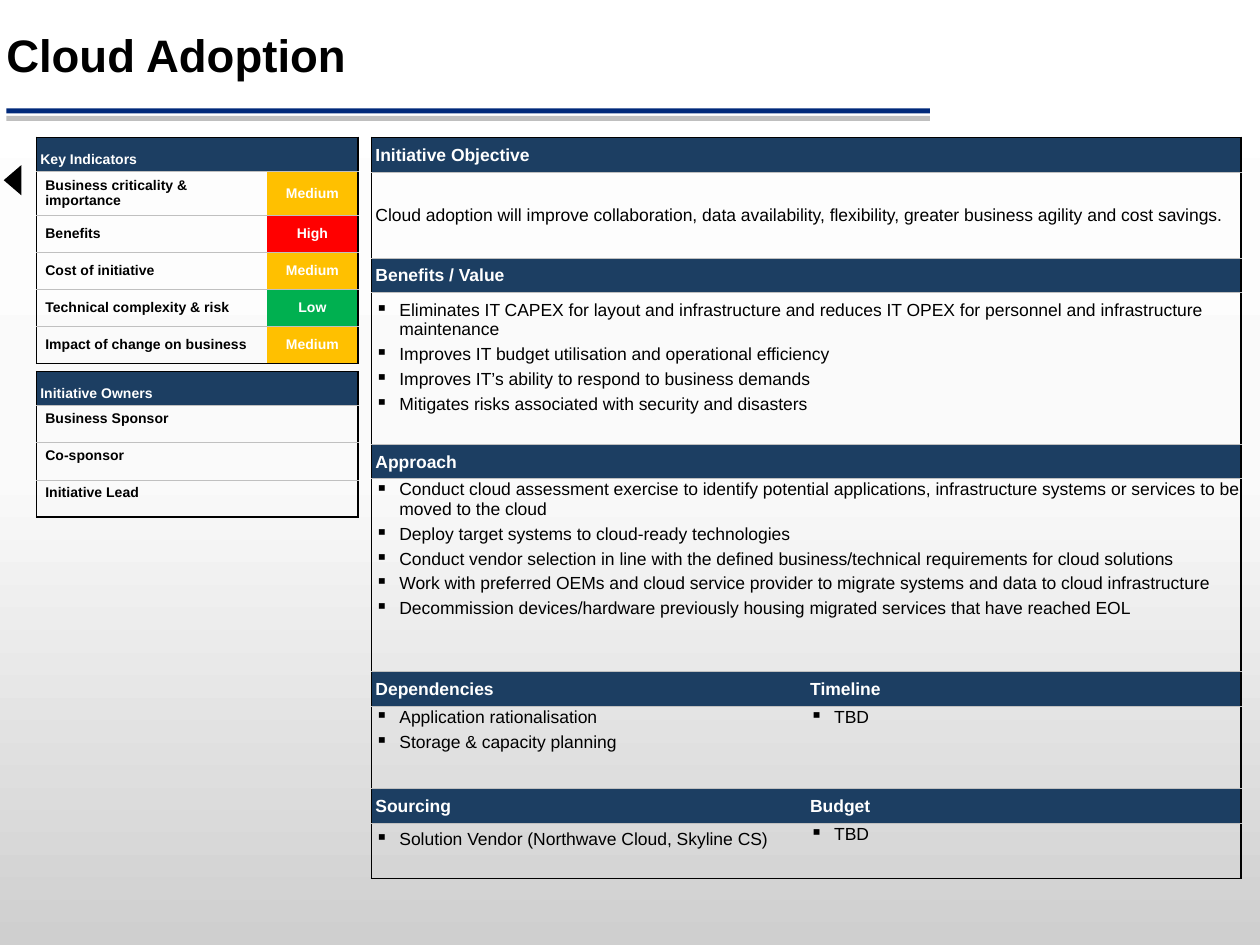
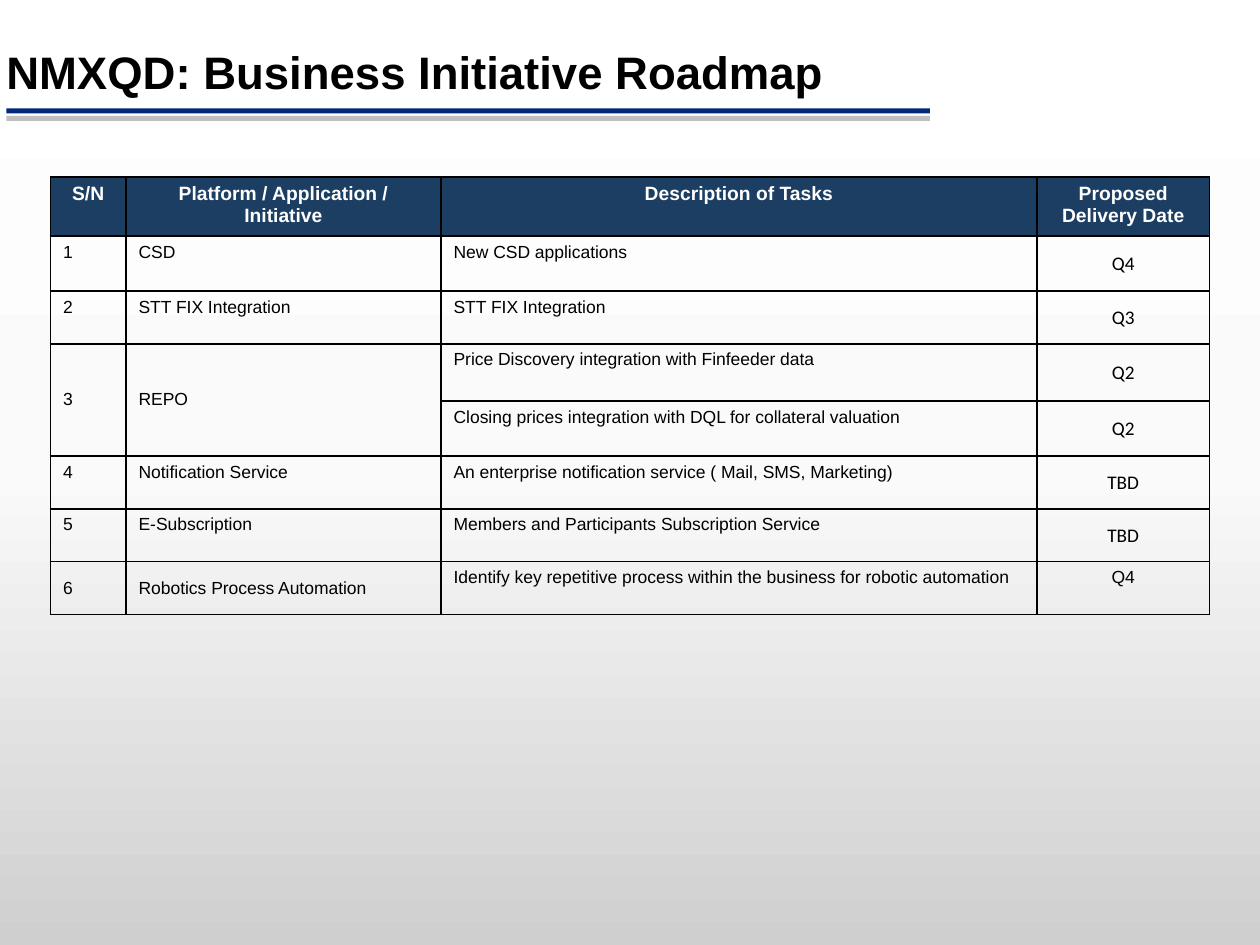
from dataclasses import dataclass, replace
from typing import Optional, Sequence

from lxml.etree import SubElement
from pptx import Presentation
from pptx.dml.color import RGBColor
from pptx.enum.shapes import MSO_SHAPE
from pptx.enum.text import MSO_ANCHOR, MSO_AUTO_SIZE, PP_ALIGN
from pptx.oxml.ns import qn
from pptx.util import Inches, Pt

# Shared look: the slide is a grid of 100 columns by 75 rows
COLUMNS, ROWS = 100, 75
NAVY, BLACK, WHITE, SILVER = "1C3E62", "000000", "FFFFFF", "C0C0C0"
RULES = ((9.2, "BFBFBF"), (8.6, "00297A"))
BACKGROUND = ((0, "CFCFCF"), (50, "FAFAFA"), (100, "FFFFFF"))
RATING_FILLS = {"High": "FF0000", "Medium": "FFC000", "Low": "00B050"}


def grid(n: float) -> int:
    """Length of n grid columns or rows."""
    return Inches(n / 10)


def rgb(value: str) -> RGBColor:
    return RGBColor.from_string(value)


@dataclass(frozen=True)
class Style:
    size: float
    color: str = BLACK
    bold: bool = False
    font: str = "Arial"
    align: Optional[PP_ALIGN] = None
    anchor: MSO_ANCHOR = MSO_ANCHOR.TOP
    margins: tuple = (1, 0.5, 1, 0.5)  # left, top, right, bottom
    fill: Optional[str] = None
    bullet: bool = False


@dataclass(frozen=True)
class Line:
    color: str
    width: float


@dataclass(frozen=True)
class Cell:
    style: Style
    lines: tuple = ()


@dataclass(frozen=True)
class Grid:
    left: float
    top: float
    widths: Sequence[float]
    heights: Sequence[float]
    outer: Line
    across: Line
    down: Optional[Line] = None


MIDDLE = MSO_ANCHOR.MIDDLE
TITLE = Style(26, bold=True, anchor=MIDDLE, margins=(0.5,) * 4)

SIDE_HEAD = Style(8, WHITE, True, anchor=MSO_ANCHOR.BOTTOM, margins=(0.3,) * 4, fill=NAVY)
OWNER = Style(8, bold=True, margins=(0.7, 0.4, 0.7, 0.4))
INDICATOR = replace(OWNER, anchor=MIDDLE)
RATING = replace(INDICATOR, color=WHITE, align=PP_ALIGN.CENTER)

BODY = Style(10, anchor=MIDDLE, margins=(0.3, 0.1, 0, 0))
SECTION = replace(BODY, color=WHITE, bold=True, fill=NAVY)
BULLETS = replace(BODY, anchor=MSO_ANCHOR.TOP, bullet=True)
RAISED_BULLETS = replace(BULLETS, anchor=MIDDLE, margins=(0.3, 0.1, 0, 1.9))

ROAD_HEAD = Style(11, WHITE, True, align=PP_ALIGN.CENTER, fill=NAVY)
TASK = Style(10, align=PP_ALIGN.JUSTIFY)
TASK_MIDDLE = replace(TASK, anchor=MIDDLE)
DATE = Style(11, font="Calibri", align=PP_ALIGN.CENTER, anchor=MIDDLE, margins=(0.1, 0.1, 0.1, 0))
LAST_DATE = replace(TASK, align=PP_ALIGN.CENTER)


# Text
def write(tf, lines: Sequence[str], style: Style) -> None:
    for i, text in enumerate(lines):
        p = tf.paragraphs[0] if i == 0 else tf.add_paragraph()
        p.alignment = style.align
        if style.bullet:
            pPr = p._p.get_or_add_pPr()
            pPr.set("marL", str(grid(1.9)))
            pPr.set("indent", str(-grid(1.9)))
            SubElement(pPr, qn("a:buChar"), char="▪")
            p.space_after = Pt(3)
        r = p.add_run()
        r.text = text
        r.font.name, r.font.size, r.font.bold = style.font, Pt(style.size), style.bold
        r.font.color.rgb = rgb(style.color)
    if not lines:
        SubElement(tf.paragraphs[0]._p, qn("a:endParaRPr"), sz=str(int(style.size * 100)))


# Tables
def set_border(cell, side: str, line: Optional[Line]) -> None:
    ln = SubElement(cell._tc.get_or_add_tcPr(), qn(f"a:ln{side}"))
    if line is None:
        SubElement(ln, qn("a:noFill"))
        return
    ln.set("w", str(Pt(line.width)))
    SubElement(SubElement(ln, qn("a:solidFill")), qn("a:srgbClr"), val=line.color)


def format_cell(cell, spec_cell: Cell) -> None:
    style = spec_cell.style
    if style.fill:
        cell.fill.solid()
        cell.fill.fore_color.rgb = rgb(style.fill)
    else:
        cell.fill.background()
    cell.vertical_anchor = style.anchor
    (cell.margin_left, cell.margin_top,
     cell.margin_right, cell.margin_bottom) = map(grid, style.margins)
    write(cell.text_frame, spec_cell.lines, style)


def add_grid(s, g: Grid, rows: Sequence[Sequence[Cell]], tall: Sequence[tuple] = ()) -> None:
    """Rows with one cell span the table; tall lists (row, column) cells two rows high."""
    n_rows, n_cols = len(g.heights), len(g.widths)
    table = s.shapes.add_table(n_rows, n_cols, grid(g.left), grid(g.top),
                               grid(sum(g.widths)), grid(sum(g.heights))).table
    table.first_row = table.horz_banding = False
    for column, width in zip(table.columns, g.widths):
        column.width = grid(width)
    for row, height in zip(table.rows, g.heights):
        row.height = grid(height)
    for i, cells in enumerate(rows):
        if len(cells) == 1:
            table.cell(i, 0).merge(table.cell(i, n_cols - 1))
    for i, j in tall:
        table.cell(i, j).merge(table.cell(i + 1, j))
    for i, cells in enumerate(rows):
        for j in range(n_cols):
            cell = table.cell(i, j)
            last_col, last_row = j + cell.span_width, i + cell.span_height
            set_border(cell, "L", g.outer if j == 0 else g.down)
            set_border(cell, "R", g.outer if last_col == n_cols else g.down)
            set_border(cell, "T", g.outer if i == 0 else g.across)
            set_border(cell, "B", g.outer if last_row == n_rows else g.across)
            format_cell(cell, cells[j] if j < len(cells) else Cell(cells[0].style))


# Slide frame
def add_block(s, kind: MSO_SHAPE, box: Sequence[float], color: str):
    sp = s.shapes.add_shape(kind, *map(grid, box))
    sp.shadow.inherit = False
    sp.fill.solid()
    sp.fill.fore_color.rgb = rgb(color)
    sp.line.fill.background()
    return sp


def set_background(master) -> None:
    fill = master.background.fill
    fill.gradient()
    fill.gradient_angle = 90
    stops = master.element.find(".//" + qn("a:gsLst"))
    for stop in list(stops):
        stops.remove(stop)
    for pos, color in BACKGROUND:
        stop = SubElement(stops, qn("a:gs"), pos=str(pos * 1000))
        SubElement(stop, qn("a:srgbClr"), val=color)


def add_titled_slide(prs, title: str, top: float):
    s = prs.slides.add_slide(prs.slide_layouts[6])
    for rule_top, color in RULES:
        add_block(s, MSO_SHAPE.RECTANGLE, (0.5, rule_top, 73.3, 0.4), color)
    tf = s.shapes.add_textbox(0, grid(top), grid(77.7), grid(4.9)).text_frame
    tf.word_wrap = True
    tf.auto_size = MSO_AUTO_SIZE.SHAPE_TO_FIT_TEXT
    tf.vertical_anchor = TITLE.anchor
    tf.margin_left, tf.margin_top, tf.margin_right, tf.margin_bottom = map(grid, TITLE.margins)
    write(tf, (title,), TITLE)
    tf.paragraphs[0].line_spacing = 0.9
    return s


# Slide 1: initiative sheet
INDICATORS = (
    ("Business criticality & importance", "Medium"),
    ("Benefits", "High"),
    ("Cost of initiative", "Medium"),
    ("Technical complexity & risk", "Low"),
    ("Impact of change on business", "Medium"),
)
OWNERS = ("Business Sponsor", "Co-sponsor", "Initiative Lead")
GOAL = ("Cloud adoption will improve collaboration, data availability, flexibility, "
        "greater business agility and cost savings.")
BENEFITS = (
    "Eliminates IT CAPEX for layout and infrastructure and reduces IT OPEX for personnel "
    "and infrastructure maintenance",
    "Improves IT budget utilisation and operational efficiency",
    "Improves IT’s ability to respond to business demands",
    "Mitigates risks associated with security and disasters",
)
APPROACH = (
    "Conduct cloud assessment exercise to identify potential applications, infrastructure "
    "systems or services to be moved to the cloud",
    "Deploy target systems to cloud-ready technologies",
    "Conduct vendor selection in line with the defined business/technical requirements "
    "for cloud solutions",
    "Work with preferred OEMs and cloud service provider to migrate systems and data "
    "to cloud infrastructure",
    "Decommission devices/hardware previously housing migrated services that have reached EOL",
)


def sections(*names: str) -> list:
    return [Cell(SECTION, (name,)) for name in names]


def build_initiative(prs) -> None:
    s = add_titled_slide(prs, "Cloud Adoption", 2.1)
    frame, hairline = Line(BLACK, 1), Line(SILVER, 0.5)

    indicators = [[Cell(SIDE_HEAD, ("Key Indicators",))]]
    indicators += [[Cell(INDICATOR, (name,)),
                    Cell(replace(RATING, fill=RATING_FILLS[rating]), (rating,))]
                   for name, rating in INDICATORS]
    add_grid(s, Grid(2.9, 10.9, (18.3, 7.2), (2.7, 3.4) + (2.95,) * 4, frame, hairline),
             indicators)

    arrow = add_block(s, MSO_SHAPE.ISOSCELES_TRIANGLE, (-0.2, 13.6, 2.4, 1.4), BLACK)
    arrow.rotation = 270

    owners = [[Cell(SIDE_HEAD, ("Initiative Owners",))]]
    owners += [[Cell(OWNER, (name,)), Cell(OWNER)] for name in OWNERS]
    add_grid(s, Grid(2.9, 29.5, (11.4, 14.1), (2.7,) + (2.95,) * 3, frame, hairline), owners)

    heights = [h for body in (6.8, 12, 15.3, 6.5, 4.4) for h in (2.77, body)]
    add_grid(s, Grid(29.5, 10.9, (34.5, 34.5), heights, frame, hairline), [
        sections("Initiative Objective"),
        [Cell(BODY, (GOAL,))],
        sections("Benefits / Value"),
        [Cell(RAISED_BULLETS, BENEFITS)],
        sections("Approach"),
        [Cell(BULLETS, APPROACH)],
        sections("Dependencies", "Timeline"),
        [Cell(BULLETS, ("Application rationalisation", "Storage & capacity planning")),
         Cell(BULLETS, ("TBD",))],
        sections("Sourcing", "Budget"),
        [Cell(RAISED_BULLETS, ("Solution Vendor (Northwave Cloud, Skyline CS)",)),
         Cell(BULLETS, ("TBD",))],
    ])


# Slide 2: roadmap
ROAD_COLUMNS = ("S/N", "Platform / Application / Initiative", "Description of Tasks",
                "Proposed Delivery Date")
ROADMAP = (
    ("1", "CSD", "New CSD applications", "Q4"),
    ("2", "STT FIX Integration", "STT FIX Integration", "Q3"),
    ("3", "REPO", "Price Discovery integration with Finfeeder data", "Q2"),
    ("", "", "Closing prices integration with DQL for collateral valuation", "Q2"),
    ("4", "Notification Service", "An enterprise notification service ( Mail, SMS, Marketing)",
     "TBD"),
    ("5", "E-Subscription", "Members and Participants Subscription Service", "TBD"),
    ("6", "Robotics Process Automation",
     "Identify key repetitive process within the business for robotic automation", "Q4"),
)


def build_roadmap(prs) -> None:
    s = add_titled_slide(prs, "NMXQD: Business Initiative Roadmap", 3.5)
    rows = [[Cell(ROAD_HEAD, (name,)) for name in ROAD_COLUMNS]]
    for texts in ROADMAP:
        label = TASK_MIDDLE if texts[0] in ("3", "6") else TASK
        date = LAST_DATE if texts[0] == "6" else DATE
        rows.append([Cell(style, (text,) if text else ())
                     for style, text in zip((label, label, TASK, date), texts)])
    line = Line(BLACK, 1)
    heights = (4.7, 4.35, 4.2, 4.55, 4.35, 4.2, 4.2, 4.2)
    add_grid(s, Grid(4, 14.05, (6, 25, 47.3, 13.7), heights, line, line, line),
             rows, tall=((3, 0), (3, 1)))


def main() -> None:
    prs = Presentation()
    prs.slide_width, prs.slide_height = grid(COLUMNS), grid(ROWS)
    set_background(prs.slide_master)
    build_initiative(prs)
    build_roadmap(prs)
    prs.save("out.pptx")


if __name__ == "__main__":
    main()
